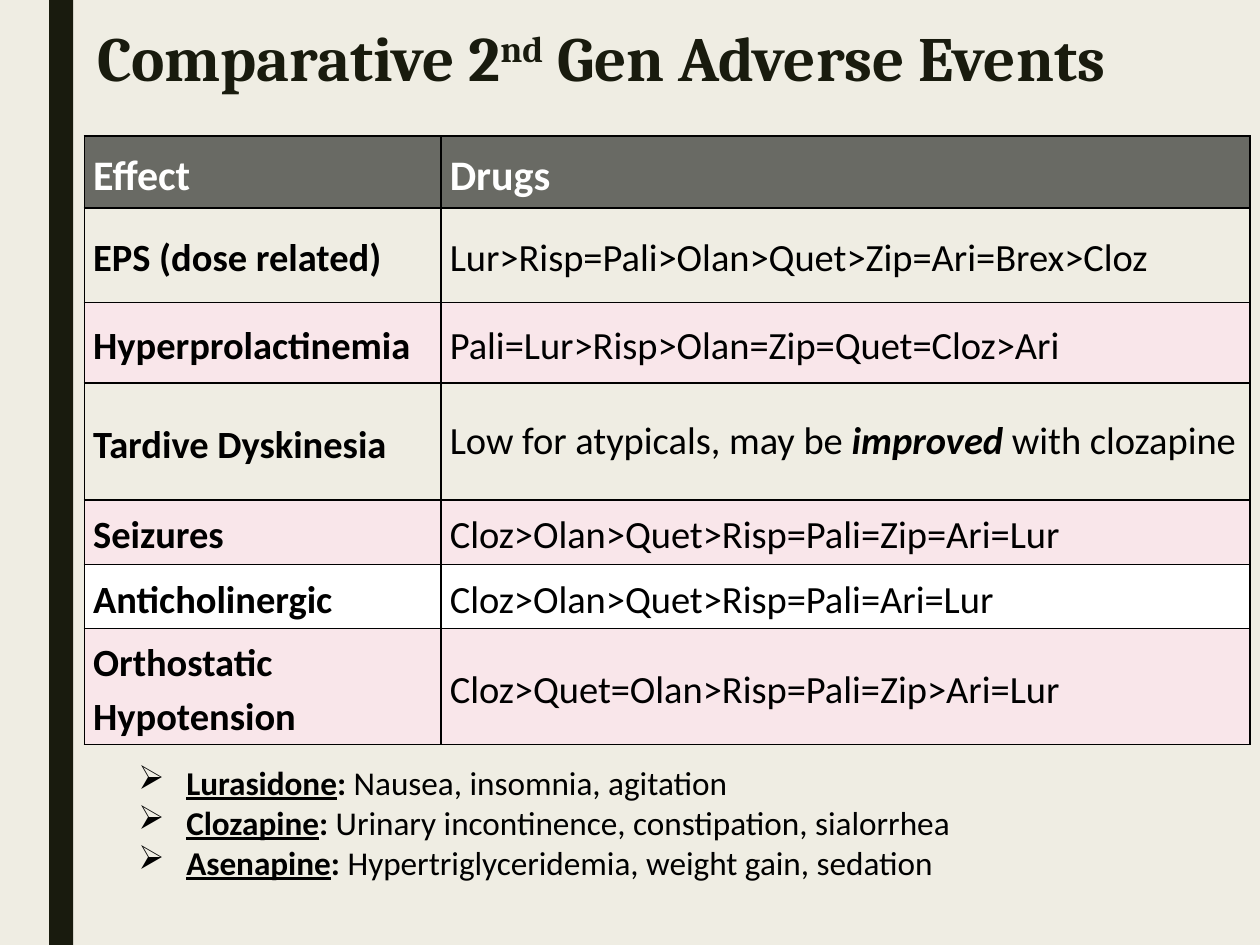
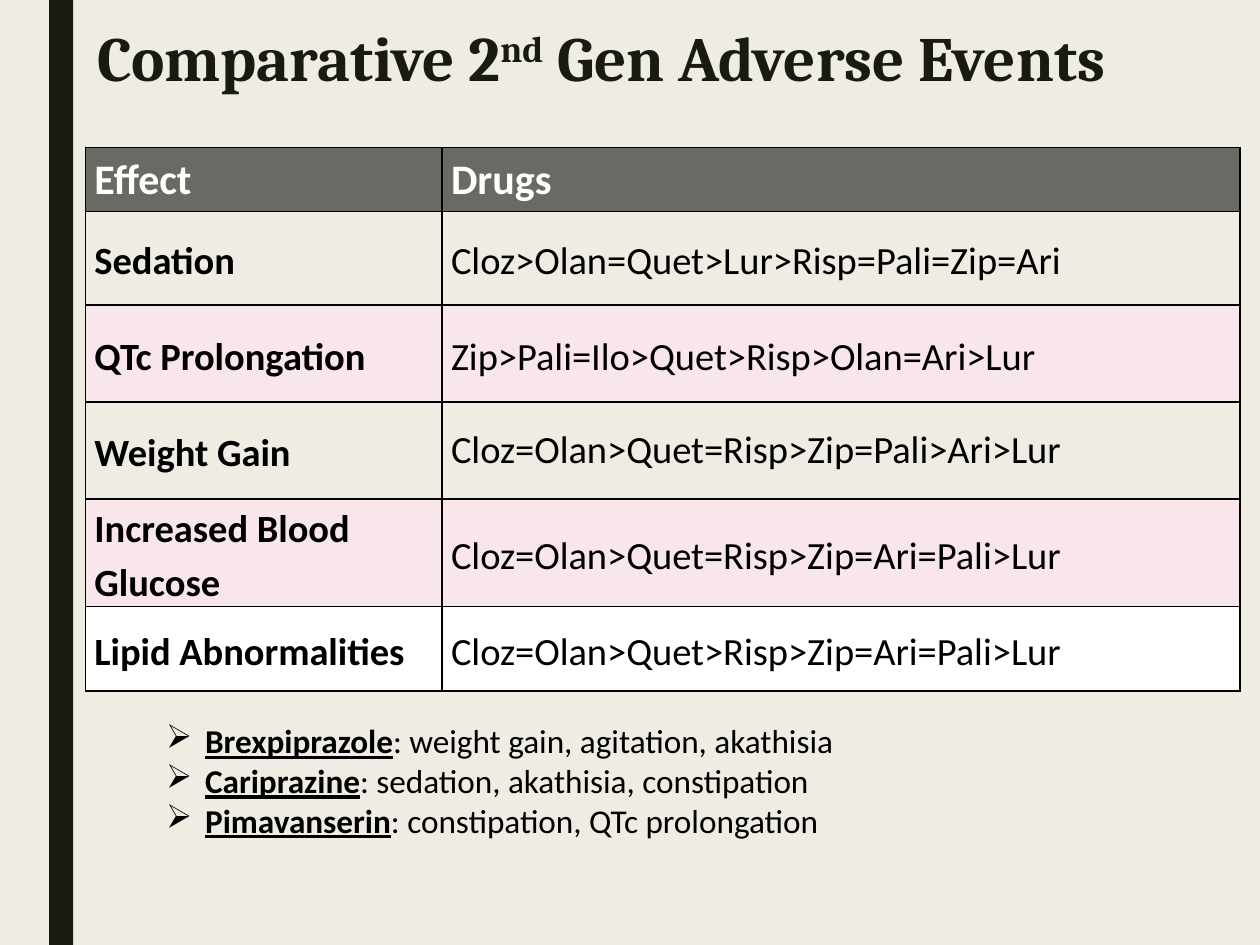
from lxml.etree import SubElement
from pptx import Presentation
from pptx.dml.color import RGBColor
from pptx.enum.shapes import MSO_SHAPE
from pptx.enum.text import MSO_ANCHOR, MSO_AUTO_SIZE, PP_ALIGN
from pptx.oxml.ns import qn
from pptx.util import Inches, Pt

CREAM = RGBColor(0xEF, 0xED, 0xE3)
DARK = RGBColor(0x19, 0x1B, 0x0E)
GREY = RGBColor(0x69, 0x6A, 0x64)
PINK = RGBColor(0xF9, 0xE6, 0xEA)
WHITE = RGBColor(0xFF, 0xFF, 0xFF)
BLACK = RGBColor(0x00, 0x00, 0x00)

HEADING_FONT, BODY_FONT = "Cambria", "Calibri"
EFFECT_WIDTH = 2.83
LOOSE = 1.15

# Each row: height, effect, drugs, fill (None shows the background)
MOVEMENT_ROWS = [
    (0.75, "EPS (dose related)", "Lur>Risp=Pali>Olan>Quet>Zip=Ari=Brex>Cloz", None),
    (0.64, "Hyperprolactinemia", "Pali=Lur>Risp>Olan=Zip=Quet=Cloz>Ari", PINK),
    (0.93, "Tardive Dyskinesia",
     [("Low for atypicals, may be ", ""), ("improved ", "bi"), ("with clozapine", "")], None),
    (0.51, "Seizures", "Cloz>Olan>Quet>Risp=Pali=Zip=Ari=Lur", PINK),
    (0.51, "Anticholinergic", "Cloz>Olan>Quet>Risp=Pali=Ari=Lur", WHITE),
    (0.92, "Orthostatic\nHypotension", "Cloz>Quet=Olan>Risp=Pali=Zip>Ari=Lur", PINK),
]
METABOLIC_ROWS = [
    (0.74, "Sedation", "Cloz>Olan=Quet>Lur>Risp=Pali=Zip=Ari", None),
    (0.77, "QTc Prolongation", "Zip>Pali=Ilo>Quet>Risp>Olan=Ari>Lur", PINK),
    (0.77, "Weight Gain", [("Cloz=Olan>Quet=Risp>Zip=Pali>Ari>Lur", "")], None),
    (0.85, "Increased Blood Glucose", "Cloz=Olan>Quet=Risp>Zip=Ari=Pali>Lur", PINK),
    (0.67, "Lipid Abnormalities", "Cloz=Olan>Quet>Risp>Zip=Ari=Pali>Lur", WHITE),
]
MOVEMENT_NOTES = [
    [("Lurasidone", "bu"), (": ", "b"), ("Nausea, insomnia, agitation", "")],
    [("Clozapine", "bu"), (": ", "b"), ("Urinary incontinence, constipation, sialorrhea", "")],
    [("Asenapine", "bu"), (": ", "b"), ("Hypertriglyceridemia, weight gain, sedation", "")],
]
METABOLIC_NOTES = [
    [("Brexpiprazole", "bu"), (": weight gain, agitation, akathisia", "")],
    [("Cariprazine", "bu"), (": sedation, akathisia, constipation", "")],
    [("Pimavanserin", "bu"), (": constipation, QTc prolongation", "")],
]


def add_spans(para, spans, size, color=BLACK, name=BODY_FONT):
    """Add (text, style) spans; style letters: b bold, i italic, u underline, ^ superscript."""
    for text, style in spans:
        span = para.add_run()
        span.text = text
        font = span.font
        font.name, font.size, font.color.rgb = name, Pt(size), color
        font.bold, font.italic, font.underline = "b" in style, "i" in style, "u" in style
        if "^" in style:
            span._r.get_or_add_rPr().set("baseline", "30000")


def paragraphs(frame, count):
    return [frame.paragraphs[0]] + [frame.add_paragraph() for _ in range(count - 1)]


def add_band(page):
    band = page.shapes.add_shape(
        MSO_SHAPE.RECTANGLE, Inches(0.39), 0, Inches(0.19), Inches(7.5))
    band.shadow.inherit = False
    band.fill.solid()
    band.fill.fore_color.rgb = DARK
    band.line.fill.background()


def set_title(page):
    title = page.shapes.title
    title.left, title.top = Inches(0.67), Inches(0.17)
    title.width, title.height = Inches(9), Inches(1.17)
    frame = title.text_frame
    frame.word_wrap = True
    frame.auto_size = MSO_AUTO_SIZE.NONE
    frame.vertical_anchor = MSO_ANCHOR.TOP
    para = frame.paragraphs[0]
    para.alignment = PP_ALIGN.LEFT
    para.line_spacing = 0.89
    spans = [("Comparative 2", "b"), ("nd", "b^"), (" Gen Adverse Events", "b")]
    add_spans(para, spans, 36, DARK, HEADING_FONT)


def add_borders(cell):
    properties = cell._tc.get_or_add_tcPr()
    for side in ("a:lnL", "a:lnR", "a:lnT", "a:lnB"):
        line = SubElement(properties, qn(side), w=str(Pt(1)))
        fill = SubElement(line, qn("a:solidFill"))
        SubElement(fill, qn("a:srgbClr"), val=str(BLACK))


def fill_cell(cell, content, fill, style="", size=22, color=BLACK, anchor=MSO_ANCHOR.MIDDLE):
    """Write a string with loose lines in one style, or a list of spans with single lines."""
    cell.margin_left = cell.margin_right = Inches(0.07)
    cell.margin_top = cell.margin_bottom = 0
    cell.vertical_anchor = anchor
    add_borders(cell)
    if fill is None:
        cell.fill.background()
    else:
        cell.fill.solid()
        cell.fill.fore_color.rgb = fill
    if isinstance(content, str):
        lines, spacing = [[(line, style)] for line in content.split("\n")], LOOSE
    else:
        lines, spacing = [content], 1.0
    for para, spans in zip(paragraphs(cell.text_frame, len(lines)), lines):
        para.line_spacing = spacing
        add_spans(para, spans, size, color)


def add_effects_table(page, left, top, drugs_width, header_height, header_anchor, rows):
    heights = [header_height] + [row[0] for row in rows]
    table = page.shapes.add_table(
        len(heights), 2, Inches(left), Inches(top),
        Inches(EFFECT_WIDTH + drugs_width), Inches(sum(heights))).table
    table.first_row = table.horz_banding = False
    for column, width in zip(table.columns, (EFFECT_WIDTH, drugs_width)):
        column.width = Inches(width)
    for row, height in zip(table.rows, heights):
        row.height = Inches(height)
    for column, heading in enumerate(("Effect", "Drugs")):
        fill_cell(table.cell(0, column), heading, GREY, "b", 24, WHITE, header_anchor)
    for index, (_, effect, drugs, fill) in enumerate(rows, start=1):
        fill_cell(table.cell(index, 0), effect, fill, "b")
        fill_cell(table.cell(index, 1), drugs, fill)


def add_drug_notes(page, left, top, width, indent, notes):
    box = page.shapes.add_textbox(Inches(left), Inches(top), Inches(width), Inches(1.06))
    frame = box.text_frame
    frame.word_wrap = True
    frame.auto_size = MSO_AUTO_SIZE.SHAPE_TO_FIT_TEXT
    for para, spans in zip(paragraphs(frame, len(notes)), notes):
        properties = para._p.get_or_add_pPr()
        properties.set("marL", str(Inches(indent)))
        properties.set("indent", str(-Inches(indent)))
        SubElement(properties, qn("a:buChar"), char="➢")
        add_spans(para, spans, 19)


def add_page(deck):
    page = deck.slides.add_slide(deck.slide_layouts[5])
    add_band(page)
    set_title(page)
    return page


def main():
    deck = Presentation()
    deck.slide_width, deck.slide_height = Inches(10), Inches(7.5)
    background = deck.slide_master.background.fill
    background.solid()
    background.fore_color.rgb = CREAM

    page = add_page(deck)
    add_effects_table(page, 0.67, 1.08, 6.42, 0.57, MSO_ANCHOR.MIDDLE, MOVEMENT_ROWS)
    add_drug_notes(page, 1, 6, 9.12, 0.38, MOVEMENT_NOTES)

    page = add_page(deck)
    add_effects_table(page, 0.68, 1.17, 6.33, 0.51, MSO_ANCHOR.TOP, METABOLIC_ROWS)
    add_drug_notes(page, 1.22, 5.67, 8.81, 0.31, METABOLIC_NOTES)

    deck.save("out.pptx")


if __name__ == "__main__":
    main()
